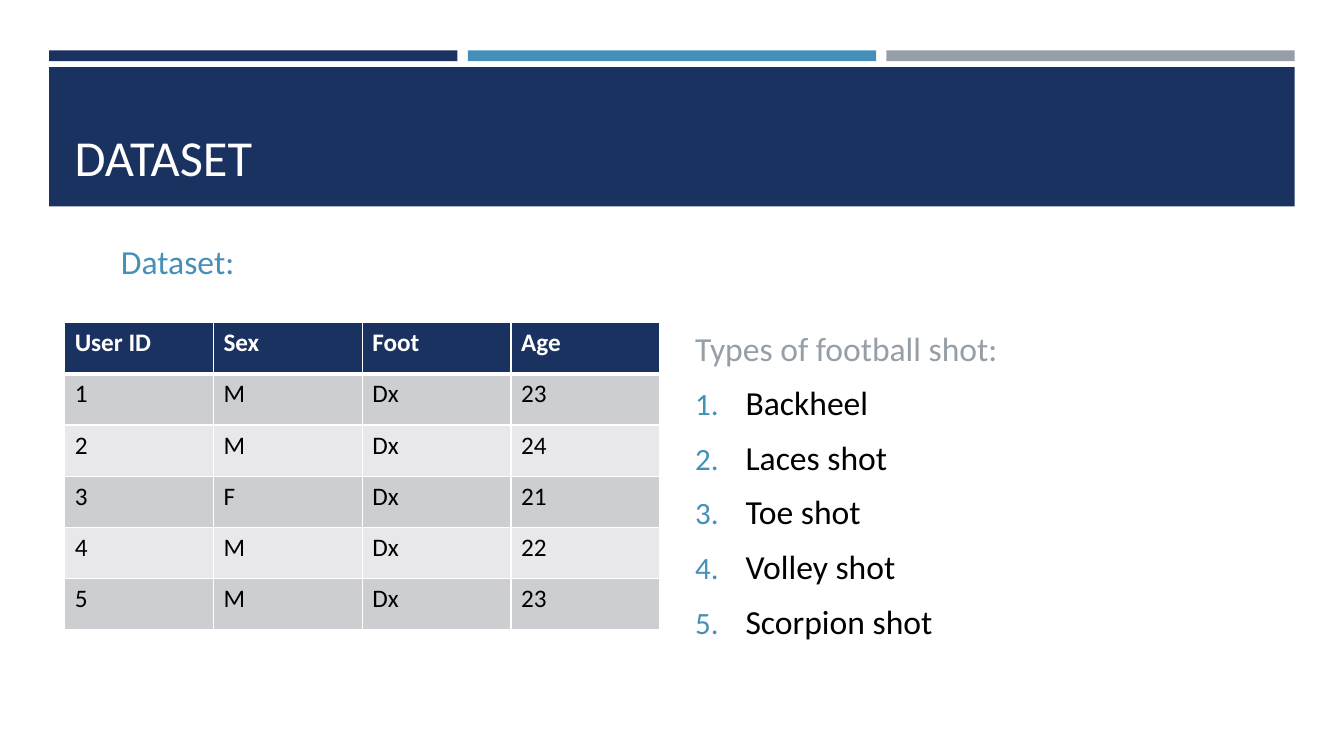
from dataclasses import dataclass

from lxml.etree import SubElement
from pptx import Presentation
from pptx.dml.color import RGBColor
from pptx.enum.shapes import MSO_SHAPE
from pptx.enum.text import MSO_ANCHOR
from pptx.oxml.ns import qn
from pptx.util import Cm, Pt


@dataclass(frozen=True)
class Theme:
    font: str = "Calibri"
    navy: str = "1A3260"
    blue: str = "4590B8"
    grey: str = "969FA7"
    white: str = "FFFFFF"
    black: str = "000000"
    row_dark: str = "CDCED2"
    row_light: str = "E8E8EA"
    title_size: int = 36
    body_size: int = 24
    table_size: int = 18


THEME = Theme()


def color(code):
    return RGBColor.from_string(code)


def write(para, text, *, size, ink, bold=False, before=0, after=0):
    """Add formatted text to a paragraph."""
    para.space_before, para.space_after = Pt(before), Pt(after)
    span = para.add_run()
    span.text = text
    span.font.name = THEME.font
    span.font.size = Pt(size)
    span.font.bold = bold
    span.font.color.rgb = color(ink)


def number(para, ink, indent=1.27):
    """Turn a paragraph into an item of a numbered list."""
    properties = para._p.get_or_add_pPr()
    properties.set("marL", str(Cm(indent)))
    properties.set("indent", str(-Cm(indent)))
    bullet_color = SubElement(properties, qn("a:buClr"))
    SubElement(bullet_color, qn("a:srgbClr"), val=ink)
    SubElement(properties, qn("a:buSzPct"), val="92000")
    SubElement(properties, qn("a:buFont"), typeface=THEME.font)
    SubElement(properties, qn("a:buAutoNum"), type="arabicPeriod")


def add_borders(cell, ink, bottom):
    """Draw the four cell borders, with a separate bottom width."""
    properties = cell._tc.get_or_add_tcPr()
    widths = {"a:lnL": 1, "a:lnR": 1, "a:lnT": 1, "a:lnB": bottom}
    for position, (side, width) in enumerate(widths.items()):
        line = SubElement(properties, qn(side), w=str(Pt(width)))
        fill = SubElement(line, qn("a:solidFill"))
        SubElement(fill, qn("a:srgbClr"), val=ink)
        properties.insert(position, line)


class PageBuilder:
    def __init__(self, page, theme):
        self.page = page
        self.theme = theme

    def bar(self, left, top, width, height, fill):
        shape = self.page.shapes.add_shape(
            MSO_SHAPE.RECTANGLE, Cm(left), Cm(top), Cm(width), Cm(height))
        shape.shadow.inherit = False
        shape.fill.solid()
        shape.fill.fore_color.rgb = color(fill)
        shape.line.fill.background()

    def text_box(self, left, top, width, height, anchor=MSO_ANCHOR.TOP):
        box = self.page.shapes.add_textbox(
            Cm(left), Cm(top), Cm(width), Cm(height))
        box.text_frame.word_wrap = True
        box.text_frame.vertical_anchor = anchor
        return box.text_frame

    def line_of_text(self, text, place, **style):
        frame = self.text_box(*place, anchor=MSO_ANCHOR.BOTTOM)
        write(frame.paragraphs[0], text, **style)

    def numbered_list(self, heading, items, place):
        frame = self.text_box(*place)
        style = dict(size=self.theme.body_size, before=4.2, after=6)
        write(frame.paragraphs[0], heading, ink=self.theme.grey, **style)
        for item in items:
            para = frame.add_paragraph()
            write(para, item, ink=self.theme.black, **style)
            number(para, self.theme.blue)

    def table(self, rows, place):
        left, top, width, height = place
        table = self.page.shapes.add_table(
            len(rows), len(rows[0]),
            Cm(left), Cm(top), Cm(width), Cm(height)).table
        for row_index, row in enumerate(rows):
            header = row_index == 0
            stripe = self.theme.row_dark if row_index % 2 else self.theme.row_light
            for column_index, text in enumerate(row):
                cell = table.cell(row_index, column_index)
                cell.fill.solid()
                cell.fill.fore_color.rgb = color(
                    self.theme.navy if header else stripe)
                write(cell.text_frame.paragraphs[0], text,
                      size=self.theme.table_size, bold=header,
                      ink=self.theme.white if header else self.theme.black)
                add_borders(cell, self.theme.white, bottom=3 if header else 1)


USERS = [
    ("User ID", "Sex", "Foot", "Age"),
    ("1", "M", "Dx", "23"),
    ("2", "M", "Dx", "24"),
    ("3", "F", "Dx", "21"),
    ("4", "M", "Dx", "22"),
    ("5", "M", "Dx", "23"),
]
SHOTS = ["Backheel", "Laces shot", "Toe shot", "Volley shot", "Scorpion shot"]


def main():
    deck = Presentation()
    deck.slide_width, deck.slide_height = Cm(33.87), Cm(19.05)
    builder = PageBuilder(deck.slides.add_slide(deck.slide_layouts[6]), THEME)

    # Top strips and title band
    margin, strip_width, strip_pitch = 1.24, 10.29, 10.55
    for index, fill in enumerate((THEME.navy, THEME.blue, THEME.grey)):
        builder.bar(margin + index * strip_pitch, 1.27, strip_width, 0.27, fill)
    builder.bar(margin, 1.69, 31.39, 3.51, THEME.navy)
    builder.line_of_text("DATASET", (1.63, 2.03, 30.63, 2.8),
                         size=THEME.title_size, ink=THEME.white)

    # Dataset heading and table
    builder.line_of_text("Dataset:", (2.8, 5.72, 14.12, 1.5),
                         size=THEME.body_size, ink=THEME.blue,
                         before=4.2, after=6)
    builder.table(USERS, (1.63, 8.13, 15, 7.74))

    # Shot types
    builder.numbered_list("Types of football shot:", SHOTS,
                          (17.27, 8.13, 15, 8.15))

    deck.save("out.pptx")


if __name__ == "__main__":
    main()
